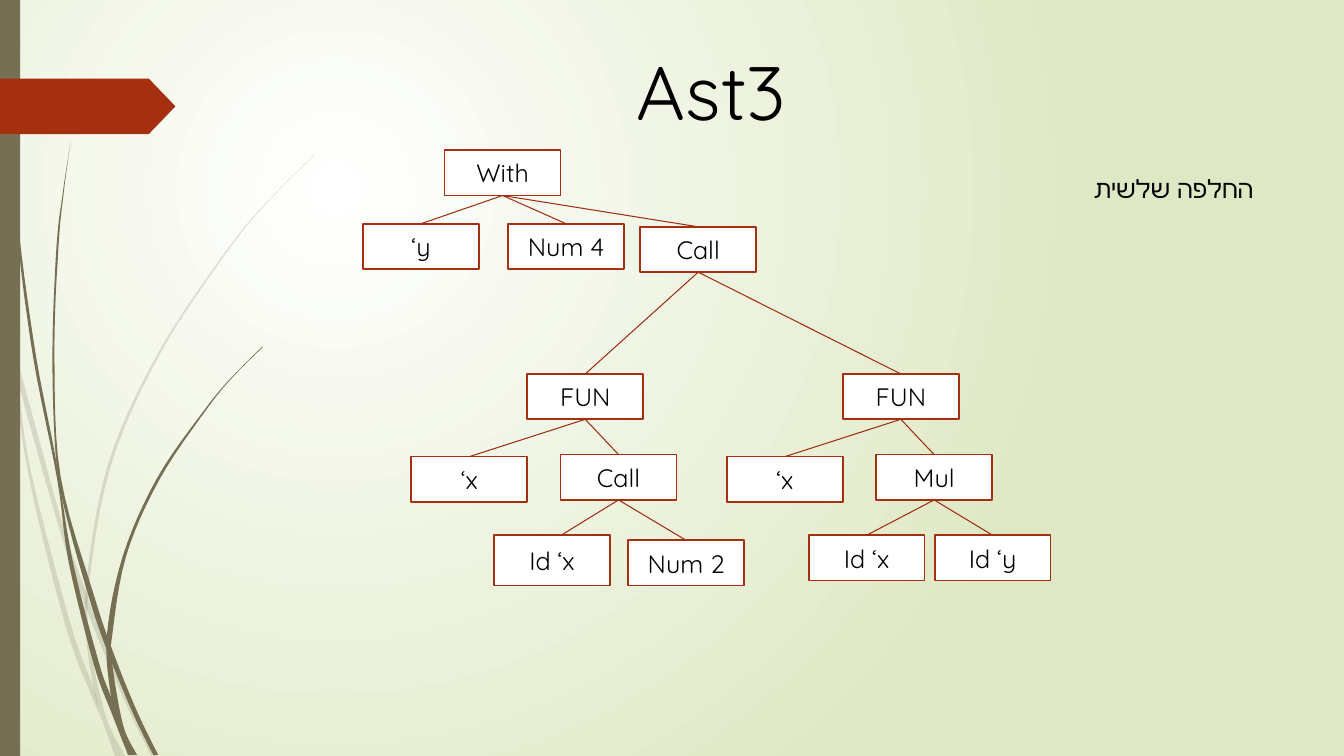
from typing import NamedTuple

from lxml.etree import SubElement
from pptx import Presentation
from pptx.dml.color import RGBColor
from pptx.enum.dml import MSO_THEME_COLOR
from pptx.enum.shapes import MSO_CONNECTOR as Connector, MSO_SHAPE as Preset
from pptx.enum.text import MSO_ANCHOR as Anchor, MSO_AUTO_SIZE as AutoSize, PP_ALIGN as Align
from pptx.oxml.ns import qn
from pptx.util import Inches, Pt


class Theme:
    font = "Quicksand"
    text, paper, meadow = "000000", "FFFFFF", "DFE8C4"
    olive, rust, branch = "766F54", "A53010", "9E2E0F"
    title_size, body_size = 54, 18
    box_line, branch_line = 1.25, 0.75


class Node(NamedTuple):
    """A tree node; right and down are its shift from its parent's corner."""
    label: str
    right: float
    down: float
    children: tuple = ()
    height: float = 0.45
    joint: float = 0  # shift of the branch's end from the middle of the top


def function(right, body):
    return Node("FUN", right, 1.46, (Node("‘x", -1.15, 0.82), body))


SLIDE_W, SLIDE_H = 13.33, 7.5
NODE_W = 1.15
TITLE, TITLE_BOX = "Ast3", (6.19, 0.4, 1.73, 1.01)
CAPTION, CAPTION_BOX = "החלפה שלשית", (10.59, 1.67, 1.94, 0.4)
STRIPE_BOX, TAG_BOX = (0, 0, 0.2, SLIDE_H), (0, 0.78, 1.74, 0.55)

TREE = Node("With", 4.41, 1.49, (
    Node("‘y", -0.81, 0.73),
    Node("Num 4", 0.63, 0.73),
    Node("Call", 1.94, 0.76, (
        function(-1.12, Node("Call", 0.33, 0.8, (
            Node("Id ‘x", -0.66, 0.8, height=0.5, joint=0.09),
            Node("Num 2", 0.67, 0.85)))),
        function(2.01, Node("Mul", 0.33, 0.8, (
            Node("Id ‘x", -0.67, 0.8),
            Node("Id ‘y", 0.58, 0.8)))),
    )),
))

# Each blade of grass: opacity in percent, one edge downwards, the other upwards.
BLADES = [
    (20, [(0, 2.82), (0.09, 3.22), (0.17, 3.76), (0.31, 4.69), (0.7, 6.19),
          (0.93, 6.83), (1.01, 7.14), (1.19, 7.5)],
     [(1.14, 7.5), (1.01, 7.14), (0.92, 6.93), (0.65, 6.21), (0.28, 4.7),
      (0.11, 3.5), (0, 2.99)]),
    (20, [(0.14, 3.45), (0.62, 5.2), (0.85, 5.86), (0.92, 6.07), (1.27, 6.92), (1.55, 7.5)],
     [(1.5, 7.5), (1.23, 6.94), (0.88, 6.1), (0.58, 5.22), (0.17, 3.76)]),
    (20, [(3.12, 1.53), (2.68, 1.97), (2.28, 2.44), (1.58, 3.48), (1.07, 4.61),
          (0.85, 5.84), (0.87, 6.46), (0.99, 7.07), (1.19, 7.5)],
     [(1.24, 7.5), (1.05, 7.11), (0.91, 6.46), (0.88, 5.84), (1.1, 4.62),
      (1.6, 3.49), (2.29, 2.45), (2.68, 1.98), (3.12, 1.54)]),
    (100, [(0.04, 0), (0.05, 0.48), (0.08, 1.09), (0.19, 2.32), (0.36, 3.55),
           (0.55, 4.53), (0.72, 5.56), (0.98, 6.57), (1.1, 6.91), (1.31, 7.49)],
     [(1.27, 7.49), (1.11, 7.08), (0.93, 6.59), (0.68, 5.57), (0.57, 4.77),
      (0.33, 3.55), (0.17, 2.33), (0.07, 1.1), (0.04, 0.48), (0.03, 0)]),
    (100, [(0.7, 1.41), (0.62, 1.93), (0.56, 2.45), (0.52, 3.49), (0.55, 4.49),
           (0.64, 5.05), (0.88, 5.92), (1.06, 6.45), (1.32, 7.08), (1.52, 7.49)],
     [(1.57, 7.49), (1.36, 7.06), (1.13, 6.49), (0.93, 5.9), (0.6, 4.72),
      (0.54, 3.49), (0.58, 2.45), (0.63, 1.93), (0.7, 1.41)]),
    (100, [(2.6, 3.44), (2.31, 3.73), (2.04, 4.05), (1.56, 4.74), (1.22, 5.51),
           (1.06, 6.31), (1.1, 6.91), (1.16, 7.17), (1.3, 7.49)],
     [(1.36, 7.49), (1.22, 7.19), (1.11, 6.56), (1.11, 6.33), (1.25, 5.52),
      (1.58, 4.76), (2.05, 4.06), (2.31, 3.74), (2.61, 3.44)]),
]


def rgb(color):
    return RGBColor.from_string(color)


def inches(*lengths):
    return [Inches(length) for length in lengths]


def smooth(points, steps=6):
    """Thousandths of an inch along a Catmull-Rom curve through the points."""
    padded = [points[0], *points, points[-1]]
    curve = []
    for a, b, c, d in zip(padded, padded[1:], padded[2:], padded[3:]):
        for t in (step / steps for step in range(steps)):
            curve.append(tuple(
                500 * (2 * q + (r - p) * t + (2 * p - 5 * q + 4 * r - s) * t ** 2
                       + (3 * q - p - 3 * r + s) * t ** 3)
                for p, q, r, s in zip(a, b, c, d)))
    return curve + [tuple(1000 * v for v in points[-1])]


def paint(shape, fill, line=None):
    shape.shadow.inherit = False
    shape.fill.solid()
    shape.fill.fore_color.rgb = rgb(fill)
    if line:
        shape.line.color.rgb = rgb(line)
        shape.line.width = Pt(Theme.box_line)
    else:
        shape.line.fill.background()


def write(shape, text, size=Theme.body_size, align=Align.CENTER, **frame_format):
    frame = shape.text_frame
    frame.text = text
    for name, value in frame_format.items():
        setattr(frame, name, value)
    paragraph = frame.paragraphs[0]
    for name, value in {"alignment": align, "line_spacing": 1.0, "space_before": Pt(0)}.items():
        setattr(paragraph, name, value)
    font = paragraph.runs[0].font
    font.name, font.size = Theme.font, Pt(size)
    font.color.rgb = rgb(Theme.text)
    return paragraph


def draw_background(slide):
    fill = slide.background.fill
    fill.gradient()
    for stop, color in zip(fill.gradient_stops, (Theme.paper, Theme.meadow)):
        stop.color.rgb = rgb(color)
    gradient = slide.element.find(".//" + qn("a:gradFill"))
    gradient.remove(gradient.find(qn("a:lin")))
    circle = SubElement(gradient, qn("a:path"), path="circle")
    SubElement(circle, qn("a:fillToRect"), l="50000", t="50000", r="100000", b="100000")


def draw_blade(shapes, opacity, down, up):
    start, *rest = smooth(down) + smooth(up)
    builder = shapes.build_freeform(*start, scale=Inches(1) / 1000)
    builder.add_line_segments(rest, close=True)
    blade = builder.convert_to_shape()
    paint(blade, Theme.olive)
    if opacity < 100:
        color = blade.element.spPr.find(".//" + qn("a:srgbClr"))
        SubElement(color, qn("a:alpha"), val=str(opacity * 1000))


def draw_branch(shapes, parent, child, joint):
    middle = child.left + child.width // 2 + Inches(joint)
    branch = shapes.add_connector(Connector.STRAIGHT, 0, 0, middle, child.top)
    branch.begin_connect(parent, 2)
    if not joint:
        branch.end_connect(child, 0)
    branch.line.color.rgb = rgb(Theme.branch)
    branch.line.width = Pt(Theme.branch_line)
    SubElement(branch.element.spPr, qn("a:effectLst"))


def draw_tree(shapes, node, left=0, top=0):
    left, top = left + node.right, top + node.down
    box = shapes.add_shape(Preset.RECTANGLE, *inches(left, top, NODE_W, node.height))
    paint(box, Theme.paper, Theme.rust)
    write(box, node.label, vertical_anchor=Anchor.MIDDLE)
    for child in node.children:
        draw_branch(shapes, box, draw_tree(shapes, child, left, top), child.joint)
    return box


def main():
    deck = Presentation()
    deck.slide_width, deck.slide_height = inches(SLIDE_W, SLIDE_H)
    slide = deck.slides.add_slide(deck.slide_layouts[5])
    shapes = slide.shapes
    draw_background(slide)
    for blade in BLADES:
        draw_blade(shapes, *blade)
    paint(shapes.add_shape(Preset.RECTANGLE, *inches(*STRIPE_BOX)), Theme.olive)
    tag = shapes.add_shape(Preset.PENTAGON, *inches(*TAG_BOX))
    tag.adjustments[0] = 0.48
    paint(tag, Theme.rust)
    draw_tree(shapes, TREE)

    title = shapes.title
    title.left, title.top, title.width, title.height = inches(*TITLE_BOX)
    write(title, TITLE, Theme.title_size, word_wrap=False,
          auto_size=AutoSize.SHAPE_TO_FIT_TEXT, vertical_anchor=Anchor.TOP)
    caption = write(shapes.add_textbox(*inches(*CAPTION_BOX)), CAPTION, align=Align.RIGHT,
                    word_wrap=True, auto_size=AutoSize.SHAPE_TO_FIT_TEXT)
    caption._p.get_or_add_pPr().set("rtl", "1")
    SubElement(caption.runs[0].font._element, qn("a:cs"), typeface=Theme.font)
    deck.save("out.pptx")


if __name__ == "__main__":
    main()
